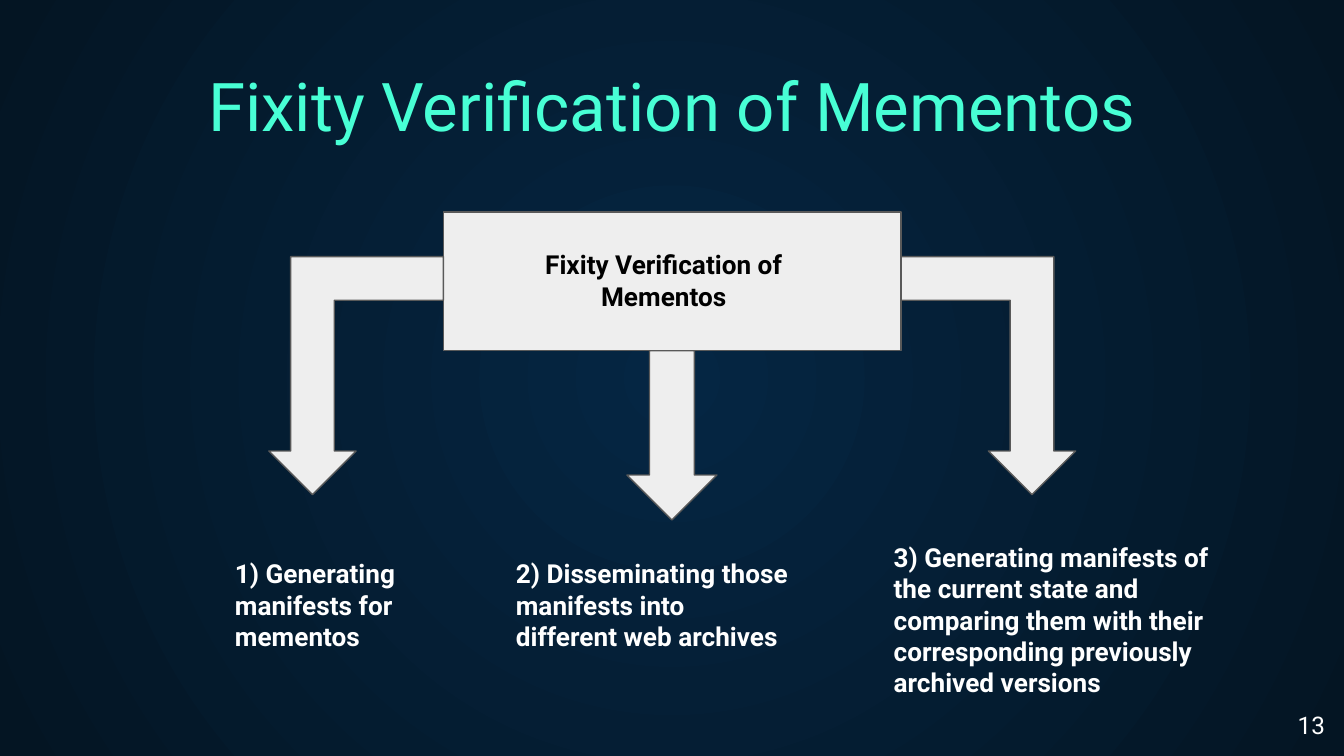
from typing import NamedTuple

from lxml.etree import SubElement
from pptx import Presentation
from pptx.dml.color import RGBColor
from pptx.enum.shapes import MSO_SHAPE as Shape
from pptx.enum.text import MSO_ANCHOR as Anchor, MSO_AUTO_SIZE as AutoSize, PP_ALIGN as Align
from pptx.oxml.ns import qn
from pptx.slide import Slide
from pptx.util import Cm, Pt

NAVY = RGBColor(0x05, 0x26, 0x43)
MIDNIGHT = RGBColor(0x04, 0x15, 0x23)
MINT = RGBColor(0x48, 0xFF, 0xD5)
LIGHT_GRAY = RGBColor(0xEE, 0xEE, 0xEE)
DARK_GRAY = RGBColor(0x59, 0x59, 0x59)
WHITE = RGBColor(0xFF, 0xFF, 0xFF)
BLACK = RGBColor(0x00, 0x00, 0x00)

FONT = "Roboto"
TITLE = "Fixity Verification of Mementos"


class Box(NamedTuple):
    """Left, top, width and height in centimetres."""
    left: float
    top: float
    width: float
    height: float

    def lengths(self) -> tuple:
        return tuple(Cm(value) for value in self)


class Block(NamedTuple):
    box: Box
    kind: Shape
    adjustments: tuple = ()
    rotation: int = 0
    mirrored: bool = False


class Label(NamedTuple):
    box: Box
    lines: tuple
    color: RGBColor = WHITE
    size: int = 14
    bold: bool = True
    alignment: Align = Align.LEFT


BENT = (0.25, 0.25, 0.25)
BLOCKS = (
    Block(Box(8.38, 4.01, 8.65, 2.62), Shape.RECTANGLE),
    Block(Box(5.08, 4.85, 3.3, 4.5), Shape.BENT_UP_ARROW, BENT, 180),
    Block(Box(17.03, 4.85, 3.3, 4.5), Shape.BENT_UP_ARROW, BENT, 180, True),
    Block(Box(11.85, 6.63, 1.7, 3.2), Shape.DOWN_ARROW, (0.5, 0.5)),
)
LABELS = (
    Label(Box(9.14, 4.45, 6.81, 1.7), (TITLE,), BLACK, alignment=Align.CENTER),
    Label(Box(4.19, 10.29, 3.76, 2.31), ("1) Generating manifests for mementos",)),
    Label(Box(9.5, 10.29, 5.94, 2.9),
          ("2) Disseminating those", "manifests into", "different web archives")),
    Label(Box(16.64, 9.98, 8.66, 3.51),
          ("3) Generating manifests of", "the current state and",
           "comparing them with their", "corresponding previously",
           "archived versions")),
    Label(Box(23.77, 13.18, 1.52, 1.09), ("13",), size=13, bold=False,
          alignment=Align.RIGHT),
)


def paint_background(slide: Slide) -> None:
    """Fill the background with a radial gradient from the centre."""
    fill = slide.background.fill
    fill.gradient()
    for stop, color in zip(fill.gradient_stops, (NAVY, MIDNIGHT)):
        stop.color.rgb = color
    gradient = slide.element.find(".//" + qn("a:gradFill"))
    gradient.remove(gradient.find(qn("a:lin")))
    circle = SubElement(gradient, qn("a:path"), {"path": "circle"})
    center = dict.fromkeys("ltrb", "50000")
    SubElement(circle, qn("a:fillToRect"), center)


def fill_text(shape, label: Label) -> None:
    frame = shape.text_frame
    frame.word_wrap = True
    frame.auto_size = AutoSize.NONE
    frame.margin_left = frame.margin_right = Cm(0.25)
    frame.margin_top = frame.margin_bottom = Cm(0.25)
    frame.text = "\n".join(label.lines)
    for paragraph in frame.paragraphs:
        paragraph.alignment = label.alignment
        paragraph.font.name = FONT
        paragraph.font.size = Pt(label.size)
        paragraph.font.bold = label.bold
        paragraph.font.color.rgb = label.color


def add_title(slide: Slide) -> None:
    title = slide.shapes.title
    box = Box(1.65, 1.32, 22.1, 1.68)
    title.left, title.top, title.width, title.height = box.lengths()
    fill_text(title, Label(box, (TITLE,), MINT, 36, False, Align.CENTER))
    title.text_frame.vertical_anchor = Anchor.BOTTOM


def add_block(slide: Slide, block: Block) -> None:
    shape = slide.shapes.add_shape(block.kind, *block.box.lengths())
    shape.shadow.inherit = False
    shape.fill.solid()
    shape.fill.fore_color.rgb = LIGHT_GRAY
    shape.line.color.rgb = DARK_GRAY
    shape.line.width = Pt(0.75)
    shape.rotation = block.rotation
    for index, value in enumerate(block.adjustments):
        shape.adjustments[index] = value
    if block.mirrored:
        shape.element.spPr.find(qn("a:xfrm")).set("flipH", "1")


def add_label(slide: Slide, label: Label) -> None:
    fill_text(slide.shapes.add_textbox(*label.box.lengths()), label)


def main() -> None:
    presentation = Presentation()
    presentation.slide_width, presentation.slide_height = Cm(25.4), Cm(14.29)
    slide = presentation.slides.add_slide(presentation.slide_layouts[5])
    paint_background(slide)
    add_title(slide)
    for block in BLOCKS:
        add_block(slide, block)
    for label in LABELS:
        add_label(slide, label)
    presentation.save("out.pptx")


if __name__ == "__main__":
    main()
